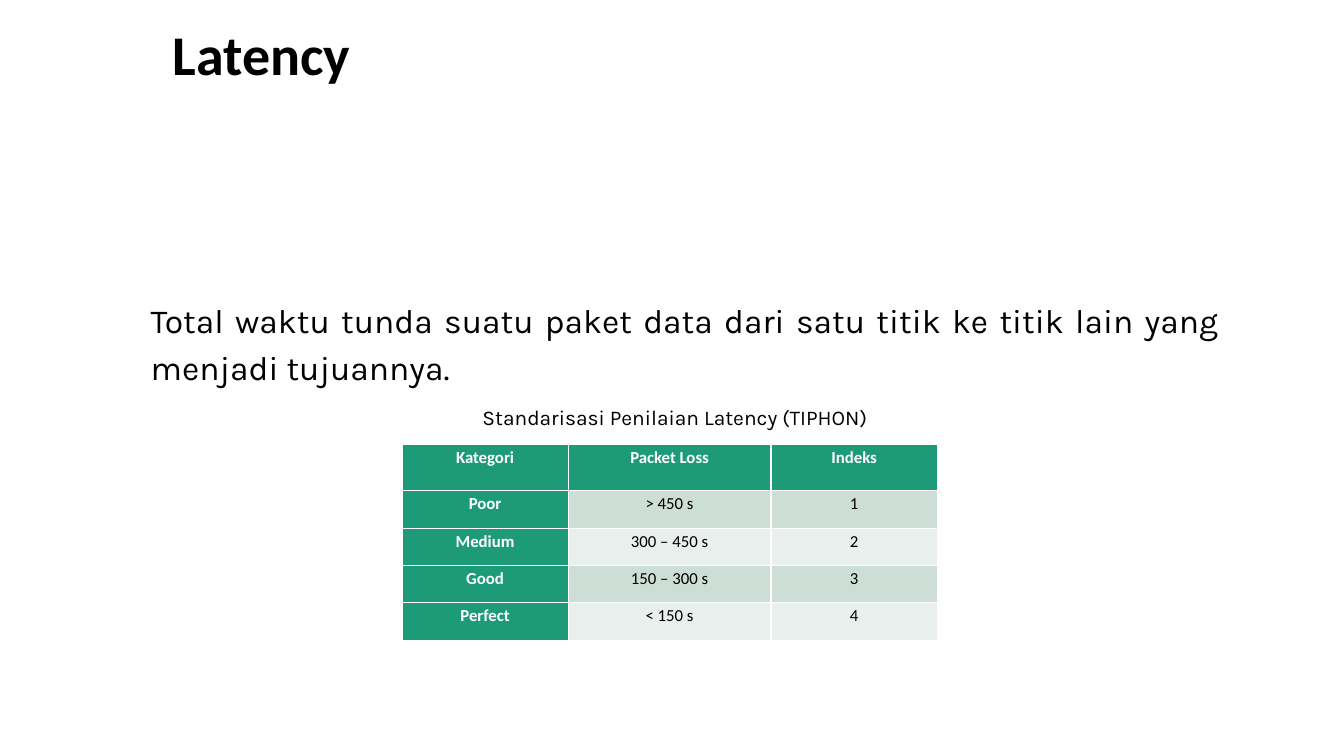
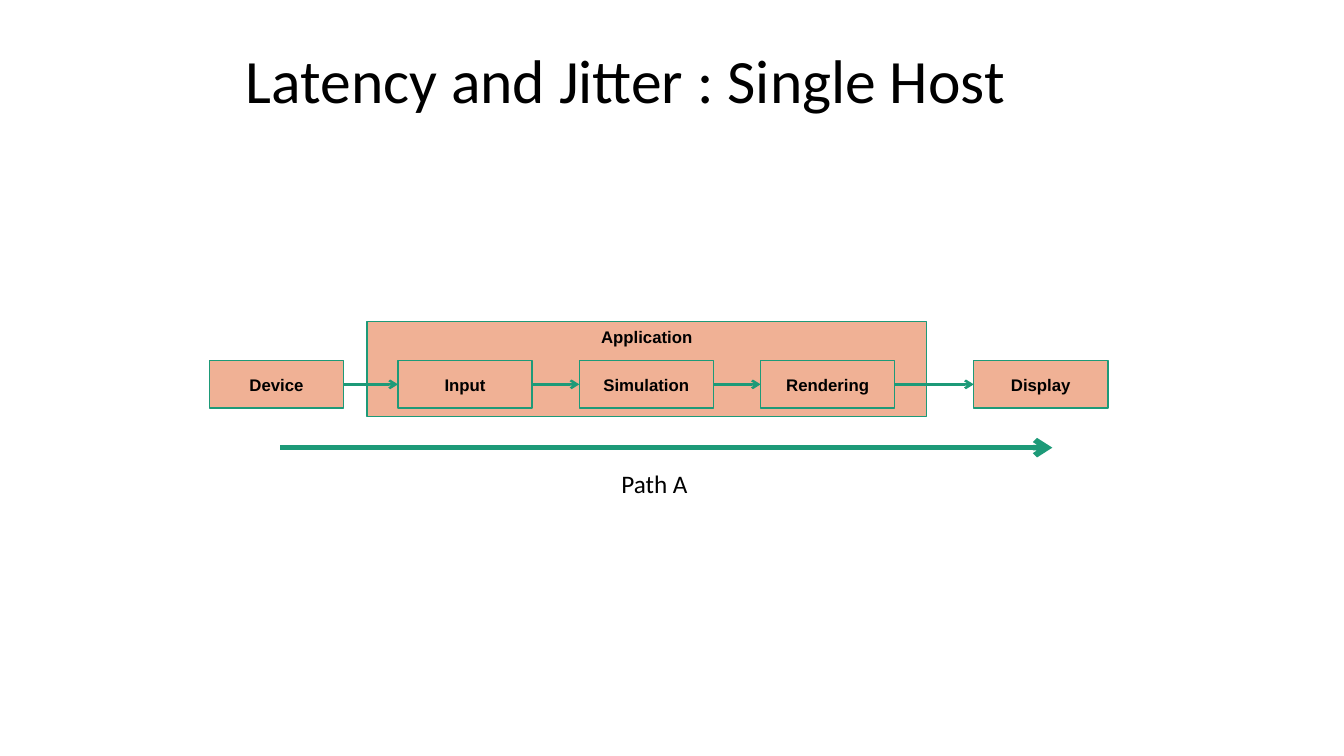
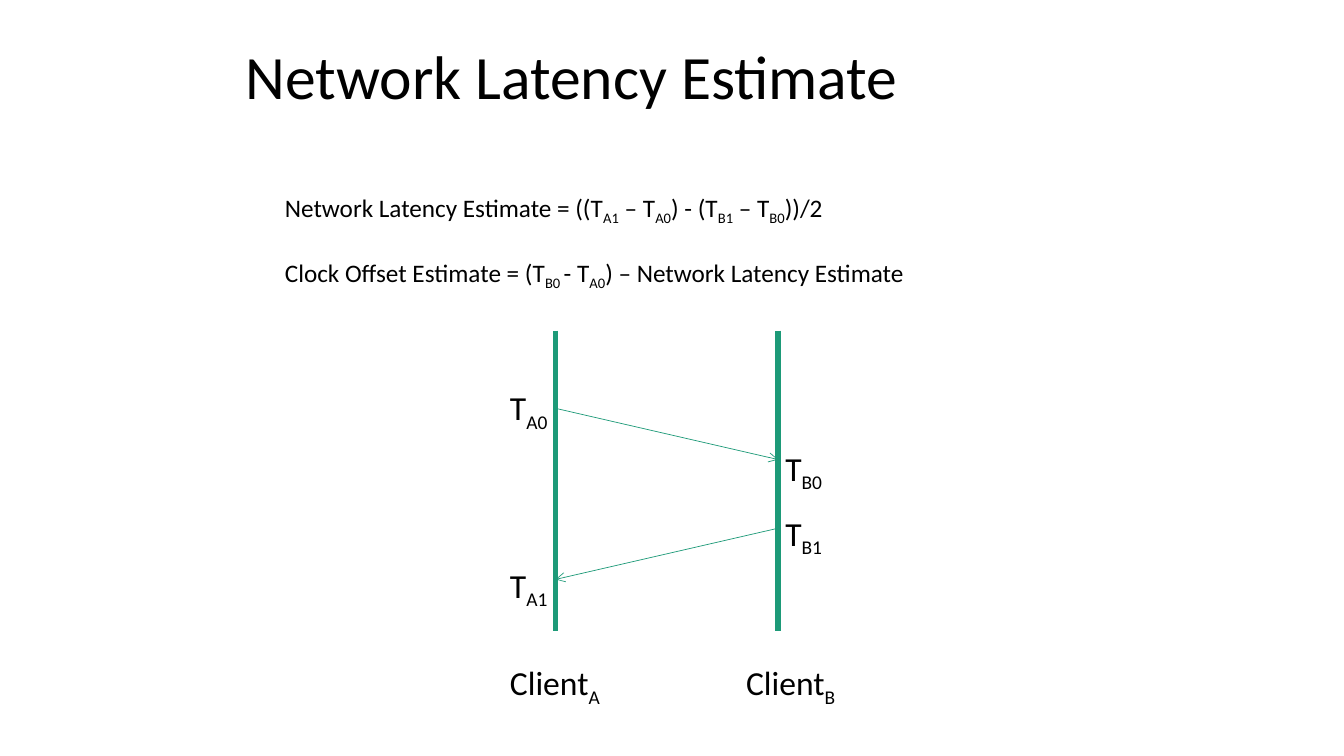
"""Build three slides on network latency and jitter."""
import lxml.etree
import pptx
import pptx.dml.color
import pptx.enum.shapes
import pptx.enum.text
import pptx.oxml.ns
import pptx.util

Cm = pptx.util.Cm
Pt = pptx.util.Pt
RGB = pptx.dml.color.RGBColor.from_string
qn = pptx.oxml.ns.qn
ALIGN = pptx.enum.text.PP_ALIGN
ANCHOR = pptx.enum.text.MSO_ANCHOR
COLORS = {
    "text": "000000",
    "white": "FFFFFF",
    "green": "1D9A78",
    "peach": "F0B195",
    "band_dark": "CDDED6",
    "band_light": "E8EFEC",
}
TITLE = {"size": 44, "spacing": 0.9, "anchor": ANCHOR.MIDDLE}


def add_text(slide, text, left, top, width, height, size, font="Calibri", bold=False,
             align=ALIGN.LEFT, spacing=1.0, anchor=ANCHOR.TOP, gap=0):
    """Add a text box; lines become paragraphs and every second part between bars is subscript."""
    frame = slide.shapes.add_textbox(Cm(left), Cm(top), Cm(width), Cm(height)).text_frame
    frame.word_wrap = True
    frame.vertical_anchor = anchor
    frame.text = text.replace("|", "")
    for number, (paragraph, line) in enumerate(zip(frame.paragraphs, text.split("\n"))):
        paragraph.alignment = align
        paragraph.line_spacing = spacing
        if number:
            paragraph.space_before = Pt(gap)
        parts = line.split("|")
        paragraph.runs[0].text = parts[0]
        for part in parts[1:]:
            paragraph.add_run().text = part
        for position, run in enumerate(paragraph.runs):
            run.font.name = font
            run.font.size = Pt(size)
            run.font.bold = bold
            run.font.color.rgb = RGB(COLORS["text"])
            if position % 2:
                run._r.get_or_add_rPr().set("baseline", "-25000")
    return frame


def add_line(slide, start, end, width, arrow=True):
    """Add a green straight line, with an arrowhead at its end if wanted."""
    connector = slide.shapes.add_connector(
        pptx.enum.shapes.MSO_CONNECTOR.STRAIGHT, *(Cm(value) for value in start + end))
    connector.line.color.rgb = RGB(COLORS["green"])
    connector.line.width = Pt(width)
    properties = connector._element.spPr
    if arrow:
        lxml.etree.SubElement(properties.get_or_add_ln(), qn("a:tailEnd"), type="arrow")
    lxml.etree.SubElement(properties, qn("a:effectLst"))
    return connector


presentation = pptx.Presentation()
presentation.slide_width = Cm(33.87)
presentation.slide_height = Cm(19.05)
blank = presentation.slide_layouts[6]

slide = presentation.slides.add_slide(blank)
add_text(slide, "Latency", 1.93, 0.38, 9.32, 1.96, 40, bold=True, align=ALIGN.CENTER)
definition = add_text(
    slide, "Total waktu tunda suatu paket data dari satu titik ke titik lain yang menjadi tujuannya.",
    2.79, 7.29, 28.17, 2.54, 24, font="Karla", align=ALIGN.JUSTIFY, spacing=1.15)
indent = definition.paragraphs[0]._p.get_or_add_pPr()
indent.set("marL", str(Cm(0.76)))
indent.set("indent", "0")
add_text(slide, "Standarisasi Penilaian Latency (TIPHON)", 11.91, 10.06, 11.1, 0.89, 15, font="Karla")

rows = [
    ("Kategori", "Packet Loss", "Indeks"),
    ("Poor", "> 450 s", "1"),
    ("Medium", "300 – 450 s", "2"),
    ("Good", "150 – 300 s", "3"),
    ("Perfect", "< 150 s", "4"),
]
table = slide.shapes.add_table(
    len(rows), 3, Cm(10.13), Cm(11.2), Cm(13.49), Cm(4.93)).table
table.first_col = True
for column, width in zip(table.columns, (4.19, 5.11, 4.19)):
    column.width = Cm(width)
for row_number, values in enumerate(rows):
    table.rows[row_number].height = Cm(0.94 if row_number else 1.17)
    for column_number, value in enumerate(values):
        cell = table.cell(row_number, column_number)
        heading = row_number == 0 or column_number == 0
        band = "band_dark" if row_number % 2 else "band_light"
        cell.fill.solid()
        cell.fill.fore_color.rgb = RGB(COLORS["green" if heading else band])
        cell.margin_left = cell.margin_right = Cm(0.18)
        cell.margin_top = cell.margin_bottom = 0
        cell.text_frame.text = value
        paragraph = cell.text_frame.paragraphs[0]
        paragraph.alignment = ALIGN.CENTER
        paragraph.line_spacing = 1.15
        font = paragraph.runs[0].font
        font.name = "Calibri"
        font.size = Pt(12)
        font.bold = heading
        font.color.rgb = RGB(COLORS["white" if heading else "text"])

slide = presentation.slides.add_slide(blank)
add_text(slide, "Latency and Jitter : Single Host", 5.94, 0.74, 22.66, 2.74, **TITLE)
stages = [("Application", 9.25, 8.1, 14.1, 2.39, ANCHOR.TOP)]
for name, left in (("Device", 5.28), ("Input", 10.03), ("Simulation", 14.6),
                   ("Rendering", 19.17), ("Display", 24.54)):
    stages.append((name, left, 9.09, 3.38, 1.19, ANCHOR.MIDDLE))
boxes = []
for name, left, top, width, height, anchor in stages:
    box = slide.shapes.add_shape(
        pptx.enum.shapes.MSO_SHAPE.RECTANGLE, Cm(left), Cm(top), Cm(width), Cm(height))
    box.shadow.inherit = False
    box.fill.solid()
    box.fill.fore_color.rgb = RGB(COLORS["peach"])
    box.line.color.rgb = RGB(COLORS["green"])
    box.line.width = Pt(1)
    box.text_frame.text = name
    box.text_frame.vertical_anchor = anchor
    paragraph = box.text_frame.paragraphs[0]
    paragraph.alignment = ALIGN.CENTER
    font = paragraph.runs[0].font
    font.name = "Arial"
    font.size = Pt(12)
    font.bold = True
    font.color.rgb = RGB(COLORS["text"])
    boxes.append(box)
for source, target in zip(boxes[1:], boxes[2:]):
    connector = add_line(slide, (0, 0), (0, 0), 1.75)
    connector.begin_connect(source, 3)
    connector.end_connect(target, 1)
add_line(slide, (7.06, 11.28), (26.52, 11.28), 4)
add_text(slide, "Path A", 11.63, 11.68, 9.73, 1.02, 18, align=ALIGN.CENTER)

slide = presentation.slides.add_slide(blank)
add_text(slide, "Network Latency Estimate", 5.94, 0.64, 22.66, 2.74, **TITLE)
add_text(slide,
         "Network Latency Estimate = ((T|A1| – T|A0|) - (T|B1| – T|B0|))/2\n"
         "Clock Offset Estimate = (T|B0 |- T|A0|) – Network Latency Estimate",
         6.93, 4.72, 16.38, 2.57, 18, gap=22)
client_a, client_b = 14, 19.61
for client in (client_a, client_b):
    add_line(slide, (client, 8.33), (client, 15.9), 4, arrow=False)
add_line(slide, (client_a, 10.29), (client_b, 11.58), 0.5)
add_line(slide, (client_b, 13.31), (client_a, 14.6), 0.5)
for label, left, top, width in (
        ("T|A0", 10.95, 9.63, 4.75), ("T|A1", 10.95, 14.1, 4.75),
        ("T|B0", 17.88, 11.15, 4.75), ("T|B1", 17.88, 12.8, 4.75),
        ("Client|A", 11.61, 16.56, 4.75), ("Client|B", 16.79, 16.56, 6.27)):
    add_text(slide, label, left, top, width, 1.27, 24, align=ALIGN.CENTER)

presentation.save("out.pptx")
